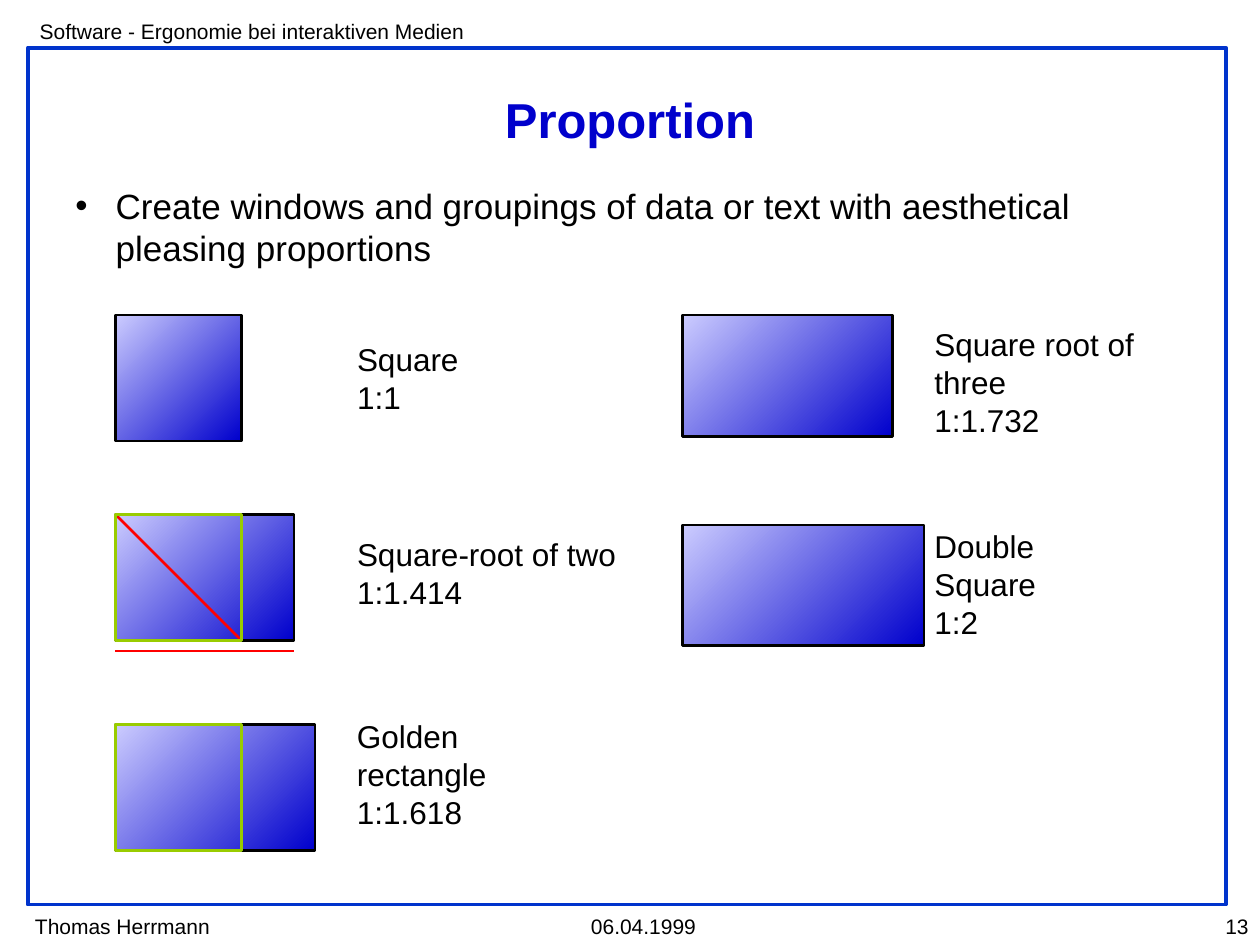
from dataclasses import dataclass

from lxml.etree import SubElement
from pptx import Presentation
from pptx.dml.color import RGBColor as Rgb
from pptx.enum.shapes import MSO_CONNECTOR as Link, MSO_SHAPE as Form
from pptx.enum.text import MSO_ANCHOR as Anchor, PP_ALIGN as Align
from pptx.oxml.ns import qn
from pptx.util import Inches, Pt

BLACK = Rgb(0x00, 0x00, 0x00)
BLUE = Rgb(0x00, 0x00, 0xCC)
PALE = Rgb(0xCC, 0xCC, 0xFF)
FRAME = Rgb(0x00, 0x33, 0xCC)
GREEN = Rgb(0x99, 0xCC, 0x00)
RED = Rgb(0xFF, 0x00, 0x00)

WIDE, HIGH = Inches(10), Inches(7.5)
COLS, ROWS = 120, 90
SIDE = 12  # grid cells along the side of the unit square
LEFT, RIGHT = (11, 34), (65, 89)  # columns of figure and label


@dataclass(frozen=True)
class Box:
    """A place on the grid, in columns and rows."""
    x: float
    y: float
    w: float
    h: float

    def place(self) -> tuple[int, int, int, int]:
        return col(self.x), row(self.y), col(self.w), row(self.h)


@dataclass(frozen=True)
class Style:
    size: float
    color: Rgb = BLACK
    bold: bool = False
    align: Align = Align.LEFT
    anchor: Anchor = Anchor.MIDDLE
    wrap: bool = True
    inset: bool = True


@dataclass(frozen=True)
class Figure:
    name: str
    ratio: str
    cols: tuple[int, int]
    top: float
    w: float
    h: float
    text_y: float
    text_w: float
    square: bool = False
    diagonal: bool = False


SMALL = Style(12, anchor=Anchor.TOP, wrap=False)
LABEL = Style(18, wrap=False, inset=False)
FIGURES = [
    Figure("Square", "1:1", LEFT, 30, SIDE, SIDE, 32.4, 9.7),
    Figure("Square root of three", "1:1.732", RIGHT, 30, 20, 11.6, 32.8, 26.6),
    Figure("Double Square", "1:2", RIGHT, 50, 23, 11.5, 52, 20),
    Figure("Square-root of two", "1:1.414", LEFT, 49, 17, SIDE, 51, 24.7,
           square=True, diagonal=True),
    Figure("Golden rectangle", "1:1.618", LEFT, 69, 19, SIDE, 70.1, 22.8,
           square=True),
]


def col(n: float) -> int:
    return round(WIDE * n / COLS)


def row(n: float) -> int:
    return round(HIGH * n / ROWS)


def write(shapes, box: Box, lines: list[str], style: Style):
    frame = shapes.add_textbox(*box.place()).text_frame
    frame.word_wrap = style.wrap
    frame.vertical_anchor = style.anchor
    if not style.inset:
        frame.margin_left = frame.margin_right = 0
        frame.margin_top = frame.margin_bottom = 0
    for i, line in enumerate(lines):
        para = frame.add_paragraph() if i else frame.paragraphs[0]
        para.alignment = style.align
        run = para.add_run()
        run.text = line
        font = run.font
        font.name, font.size, font.bold = "Arial", Pt(style.size), style.bold
        font.color.rgb = style.color
    return frame


def rect(shapes, box: Box, color: Rgb, width: float = 1.5, shade: bool = False) -> None:
    shape = shapes.add_shape(Form.RECTANGLE, *box.place())
    shape.shadow.inherit = False
    shape.line.color.rgb = color
    shape.line.width = Pt(width)
    if not shade:
        shape.fill.background()
        return
    shape.fill.gradient()
    shape.fill.gradient_angle = 135
    for stop, tone in zip(shape.fill.gradient_stops, (BLUE, PALE)):
        stop.color.rgb = tone


def stroke(shapes, x: float, y: float, w: float, h: float) -> None:
    line = shapes.add_connector(Link.STRAIGHT, col(x), row(y), col(x + w), row(y + h))
    line.line.color.rgb = RED
    line.line.width = Pt(1.5)
    SubElement(line._element.spPr, qn("a:effectLst"))


def bullet(para) -> None:
    props = para._p.get_or_add_pPr()
    props.set("marL", str(Inches(0.32)))
    props.set("indent", str(-Inches(0.32)))
    SubElement(props, qn("a:buFont")).set("typeface", "Arial")
    SubElement(props, qn("a:buChar")).set("char", "•")


def draw(shapes, fig: Figure) -> None:
    """Draw a proportion with its label as one group."""
    group = shapes.add_group_shape().shapes
    x, text_x = fig.cols
    rect(group, Box(x, fig.top, fig.w, fig.h), BLACK, shade=True)
    write(group, Box(text_x, fig.text_y, fig.text_w, 7.2), [fig.name, fig.ratio], LABEL)
    if fig.diagonal:
        stroke(group, x, fig.top, SIDE, SIDE)
        stroke(group, x, fig.top + SIDE + 1, fig.w, 0)
    if fig.square:
        rect(group, Box(x, fig.top, SIDE, SIDE), GREEN)


def main() -> None:
    deck = Presentation()
    deck.slide_width, deck.slide_height = WIDE, HIGH
    shapes = deck.slides.add_slide(deck.slide_layouts[6]).shapes

    rect(shapes, Box(2.65, 4.55, 114.1, 81.6), FRAME, 2.25)
    foot = 86.4
    write(shapes, Box(2.15, foot, 19.1, 3.6), ["Thomas Herrmann"], SMALL)
    write(shapes, Box(2.6, 1.2, 44.4, 3.6),
          ["Software - Ergonomie bei interaktiven Medien"], SMALL)
    write(shapes, Box(55.1, foot, 12.4, 3.6), ["06.04.1999"], SMALL)
    write(shapes, Box(108.6, foot, 11.5, 3.6), ["13"],
          Style(12, align=Align.RIGHT, anchor=Anchor.TOP))

    write(shapes, Box(6, 8, 108, 6.7), ["Proportion"],
          Style(28, BLUE, bold=True, align=Align.CENTER))
    body = write(shapes, Box(6, 17, 108, 9.1),
                 ["Create windows and groupings of data or text with "
                  "aesthetical pleasing proportions"], Style(20))
    bullet(body.paragraphs[0])

    for fig in FIGURES:
        draw(shapes, fig)
    deck.save("out.pptx")


if __name__ == "__main__":
    main()
